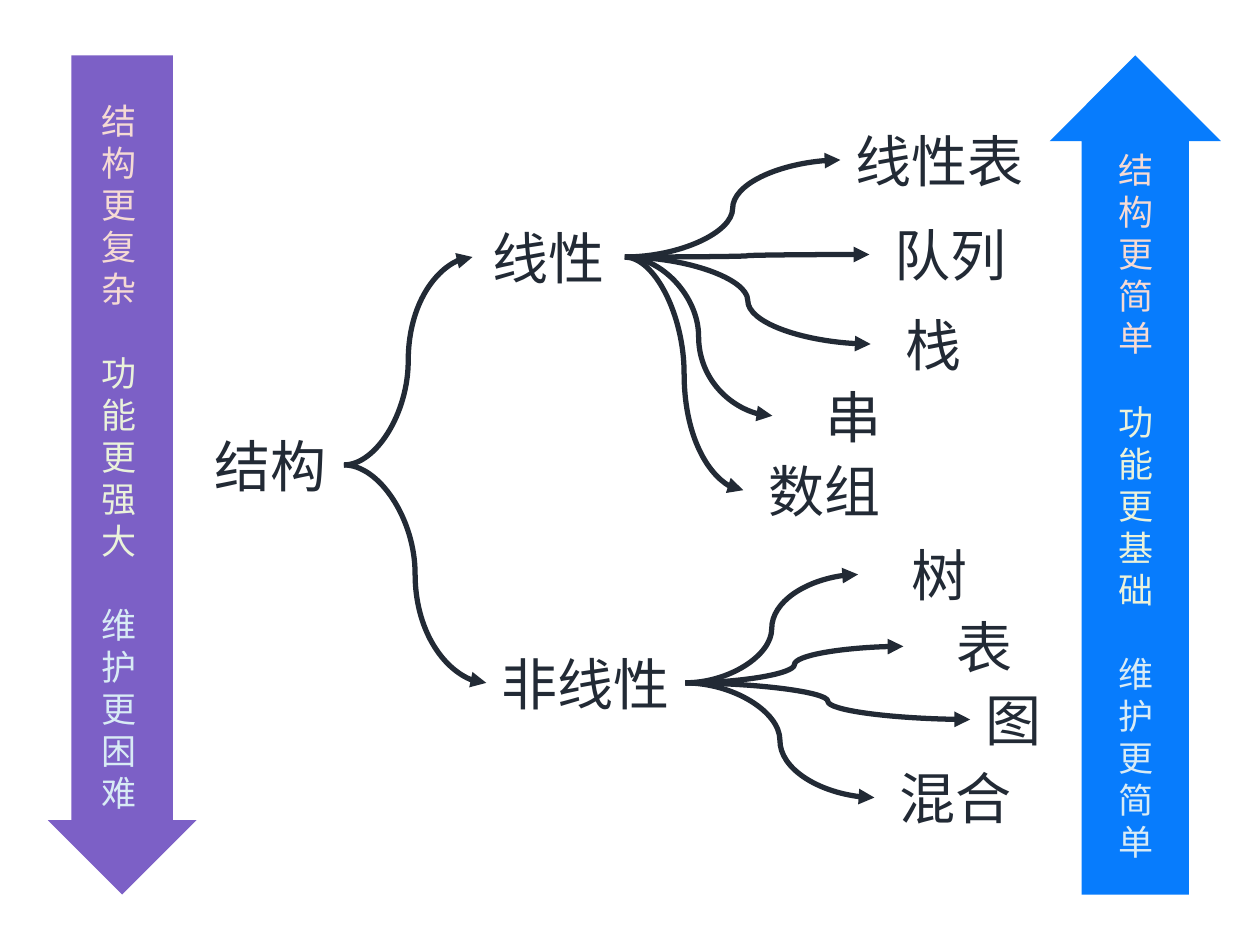
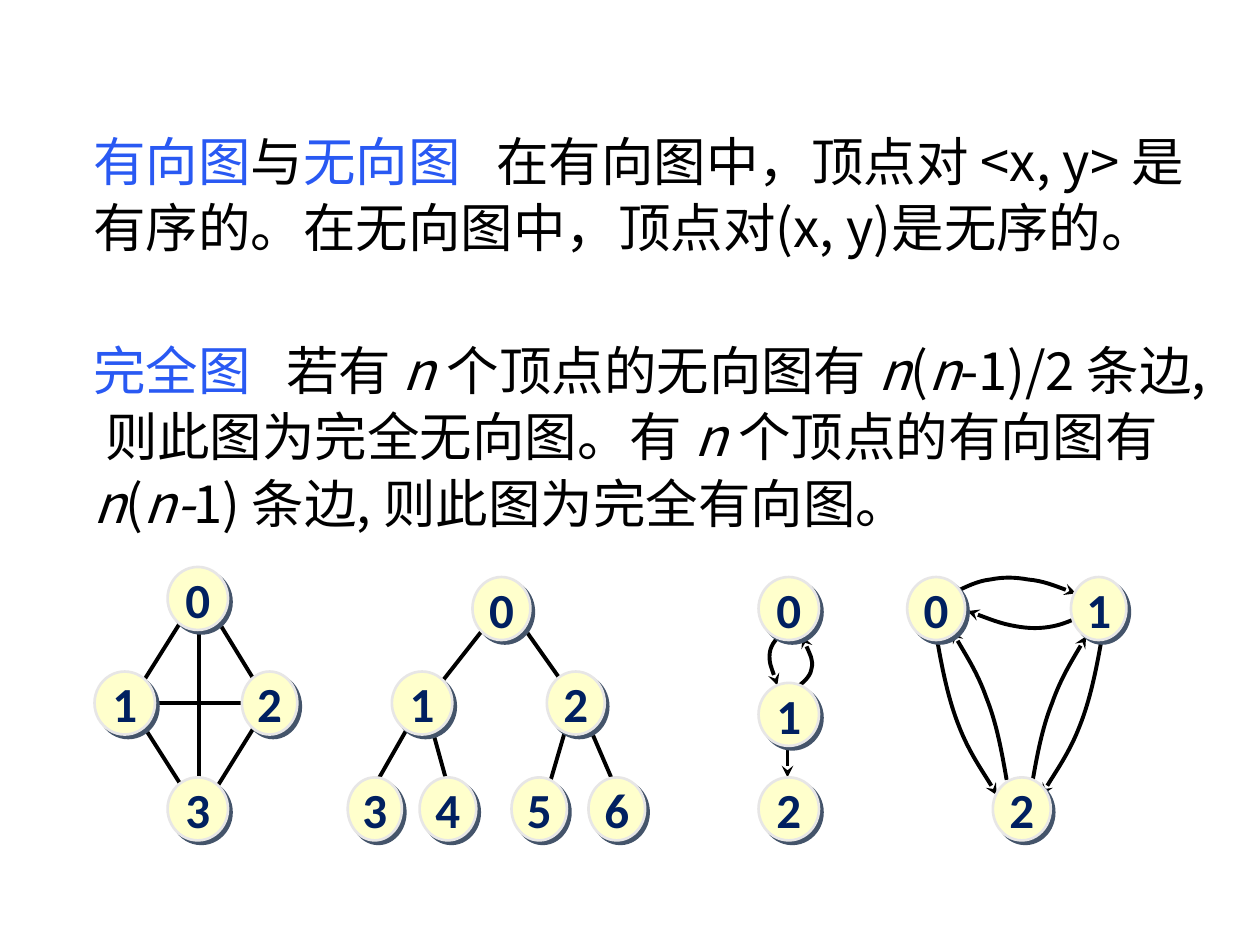
from dataclasses import dataclass
from typing import NamedTuple

from lxml import etree
from pptx import Presentation
from pptx.dml.color import RGBColor
from pptx.enum.shapes import MSO_CONNECTOR, MSO_SHAPE
from pptx.enum.text import MSO_ANCHOR, PP_ALIGN
from pptx.oxml.ns import qn
from pptx.util import Emu, Inches, Pt

CURVE, STRAIGHT = MSO_CONNECTOR.CURVE, MSO_CONNECTOR.STRAIGHT
DOWN_ARROW, OVAL = MSO_SHAPE.DOWN_ARROW, MSO_SHAPE.OVAL
MIDDLE, CENTER = MSO_ANCHOR.MIDDLE, PP_ALIGN.CENTER
LEFT_SIDE, RIGHT_SIDE = 1, 3


@dataclass(frozen=True)
class Theme:
    cjk_font: str = "Noto Sans CJK JP"
    digit_font: str = "Calibri"
    ink: str = "222A35"
    black: str = "000000"
    term: str = "2959F3"
    harder: str = "7C60C6"
    simpler: str = "077CFD"
    arrow_texts: tuple[str, ...] = ("F5DAD4", "EAF2DB", "D8EBF5")
    node_fill: str = "FFFFCC"
    node_rim: str = "E7E6E6"
    node_shadow: str = "44546A"
    digit: str = "002060"
    topic_size: int = 32
    body_size: int = 30
    digit_size: int = 28
    arrow_size: int = 20
    line_pitch: float = 1.2
    body_pitch: float = 1.26
    branch_width: float = 3
    edge_width: float = 2.25
    rim_width: float = 1.5


THEME = Theme()


class Topic(NamedTuple):
    name: str
    left: float
    top: float
    width: float
    parent: str = ""


class TrendArrow(NamedTuple):
    left: float
    width: float
    color: str
    rotation: int
    shaft: float
    text_left: float
    text_top: float
    phrases: tuple[str, ...]


class Node(NamedTuple):
    digit: str
    left: float
    top: float
    width: float = 0.48


class Edge(NamedTuple):
    x1: float
    y1: float
    x2: float
    y2: float
    head: str = ""


class Span(NamedTuple):
    text: str
    color: str = THEME.black
    italic: bool = False


TOPIC_HEIGHT = 0.64
TOPICS = (
    Topic("结构", 1.56, 3.37, 1.17),
    Topic("线性", 3.75, 1.72, 1.21, "结构"),
    Topic("非线性", 3.86, 5.1, 1.58, "结构"),
    Topic("线性表", 6.67, 0.95, 1.57, "线性"),
    Topic("队列", 6.9, 1.7, 1.29, "线性"),
    Topic("栈", 6.91, 2.41, 1, "线性"),
    Topic("串", 6.13, 2.98, 1.29, "线性"),
    Topic("数组", 5.9, 3.57, 1.29, "线性"),
    Topic("树", 6.81, 4.24, 1.29, "非线性"),
    Topic("表", 7.17, 4.81, 1.29, "非线性"),
    Topic("图", 7.7, 5.39, 0.69, "非线性"),
    Topic("混合", 6.94, 6.01, 1.29, "非线性"),
)
TREND_ARROWS = (
    TrendArrow(0.38, 1.18, THEME.harder, 0, 0.683, 0.71, 0.71,
               ("结构更复杂", "功能更强大", "维护更困难")),
    TrendArrow(8.33, 1.36, THEME.simpler, 180, 0.626, 8.78, 1.1,
               ("结构更简单", "功能更基础", "维护更简单")),
)

# Each paragraph: where the explanation starts after its term, and its spans.
DEFINITIONS = (
    (3.2, (Span("有向图", THEME.term), Span("与"), Span("无向图", THEME.term),
           Span("\t在有向图中，顶点对 <x, y> 是有序的。在无向图中，顶点对(x, y)是无序的。"))),
    (1.53, (Span("完全图", THEME.term), Span("\t若有 "), Span("n ", italic=True),
            Span("个顶点的无向图有 "), Span("n", italic=True), Span("("),
            Span("n", italic=True), Span("-1)/2 条边, 则此图为完全无向图。有 "),
            Span("n ", italic=True), Span("个顶点的有向图有"),
            Span("n", italic=True), Span("("), Span("n-", italic=True),
            Span("1) 条边, 则此图为完全有向图。"))),
)
NODES = (
    # complete undirected graph
    Node("0", 1.33, 4.5), Node("1", 0.75, 5.33), Node("2", 1.92, 5.33, 0.44),
    Node("3", 1.33, 6.17),
    # binary tree
    Node("0", 3.75, 4.58, 0.46), Node("1", 3.11, 5.33), Node("2", 4.34, 5.33, 0.46),
    Node("3", 2.76, 6.17, 0.43), Node("4", 3.33, 6.17, 0.45),
    Node("5", 4.06, 6.17, 0.44), Node("6", 4.67, 6.17, 0.45),
    # directed chain
    Node("0", 6.02, 4.58), Node("1", 6.02, 5.42), Node("2", 6.02, 6.17),
    # complete directed graph
    Node("0", 7.2, 4.58, 0.46), Node("1", 8.5, 4.58, 0.44), Node("2", 7.88, 6.17, 0.46),
)
EDGES = (
    Edge(1.08, 5.67, 1.5, 6.33), Edge(1.67, 4.83, 2.08, 5.5),
    Edge(2.08, 5.67, 1.67, 6.33), Edge(1.5, 4.83, 1.08, 5.5),
    Edge(1.17, 5.58, 2.08, 5.58), Edge(1.58, 4.92, 1.58, 6.42),
    Edge(4.17, 5, 4.58, 5.58), Edge(4.5, 5.75, 4.33, 6.33),
    Edge(4.67, 5.75, 4.92, 6.33), Edge(3.83, 5, 3.5, 5.42),
    Edge(3.42, 5.75, 3.58, 6.33), Edge(3.25, 5.75, 2.92, 6.33),
    Edge(6.25, 5.92, 6.25, 6.17, "stealth"),
)
# Each arc: a start point, then three points for every Bezier segment.
ARCS = (
    ((6.23, 5.01), (6.17, 5.06), (6.12, 5.11), (6.11, 5.18),
     (6.1, 5.26), (6.16, 5.4), (6.17, 5.44)),
    ((6.29, 5.48), (6.36, 5.43), (6.43, 5.38), (6.44, 5.31),
     (6.46, 5.24), (6.38, 5.09), (6.37, 5.05)),
    ((8.66, 4.85), (8.56, 4.9), (8.46, 4.95), (8.36, 4.97), (8.26, 4.99),
     (8.17, 4.99), (8.06, 4.97), (7.94, 4.95), (7.74, 4.87), (7.68, 4.85)),
    ((7.56, 4.71), (7.66, 4.66), (7.76, 4.61), (7.86, 4.6), (7.96, 4.58),
     (8.05, 4.58), (8.16, 4.6), (8.28, 4.61), (8.48, 4.69), (8.54, 4.71)),
    ((8.74, 5.09), (8.7, 5.32), (8.65, 5.56), (8.57, 5.76),
     (8.49, 5.97), (8.32, 6.21), (8.27, 6.31)),
    ((8.19, 6.23), (8.23, 6), (8.27, 5.78), (8.35, 5.58),
     (8.42, 5.38), (8.57, 5.14), (8.62, 5.05)),
    ((7.44, 5.09), (7.48, 5.32), (7.53, 5.56), (7.61, 5.76),
     (7.69, 5.97), (7.86, 6.21), (7.91, 6.31)),
    ((7.99, 6.19), (7.95, 5.96), (7.91, 5.74), (7.83, 5.54),
     (7.76, 5.34), (7.61, 5.11), (7.56, 5.01)),
)


def rgb(color: str) -> RGBColor:
    return RGBColor.from_string(color)


def inches(*lengths: float) -> list[Emu]:
    return [Inches(length) for length in lengths]


def add_run(paragraph, text: str, size: int, color: str,
            font_name: str = THEME.cjk_font, bold: bool = False, italic: bool = False) -> None:
    run = paragraph.add_run()
    run.text = text
    font = run.font
    font.size, font.bold, font.italic = Pt(size), bold, italic
    font.color.rgb = rgb(color)
    font.name = font_name
    etree.SubElement(font._element, qn("a:ea"), typeface=font_name)


def style_line(line_shape, color: str, width: float, head: str = "") -> None:
    """Colour the line, drop its shadow and give its end an arrowhead."""
    line_shape.line.color.rgb = rgb(color)
    line_shape.line.width = Pt(width)
    properties = line_shape._element.spPr
    if head:
        etree.SubElement(properties.find(qn("a:ln")), qn("a:tailEnd"), type=head)
    if properties.find(qn("a:effectLst")) is None:
        etree.SubElement(properties, qn("a:effectLst"))


def add_topic(slide, topic: Topic):
    box = slide.shapes.add_textbox(*inches(topic.left, topic.top, topic.width, TOPIC_HEIGHT))
    frame = box.text_frame
    frame.word_wrap = True
    frame.vertical_anchor = MIDDLE
    frame.margin_top = frame.margin_bottom = 0
    frame.paragraphs[0].alignment = CENTER
    add_run(frame.paragraphs[0], topic.name, THEME.topic_size, THEME.ink)
    return box


def add_branch(slide, parent, child) -> None:
    branch = slide.shapes.add_connector(CURVE, 0, 0, 0, 0)
    branch.begin_connect(parent, RIGHT_SIDE)
    branch.end_connect(child, LEFT_SIDE)
    style_line(branch, THEME.ink, THEME.branch_width, "triangle")


def add_trend_arrow(slide, trend: TrendArrow) -> None:
    arrow = slide.shapes.add_shape(DOWN_ARROW, *inches(trend.left, 0.44, trend.width, 6.66))
    arrow.adjustments[0], arrow.adjustments[1] = trend.shaft, 0.5
    arrow.rotation = trend.rotation
    arrow.shadow.inherit = False
    arrow.fill.solid()
    arrow.fill.fore_color.rgb = rgb(trend.color)
    arrow.line.fill.background()

    column = slide.shapes.add_textbox(*inches(trend.text_left, trend.text_top, 0.52, 5.82))
    frame = column.text_frame
    frame.word_wrap = True
    frame.margin_top = Inches(0.08)
    pitch = Pt(THEME.arrow_size * THEME.line_pitch)
    for index, (phrase, color) in enumerate(zip(trend.phrases, THEME.arrow_texts)):
        paragraph = frame.add_paragraph() if index else frame.paragraphs[0]
        paragraph.line_spacing = pitch
        if index:
            paragraph.space_before = pitch
        add_run(paragraph, phrase, THEME.arrow_size, color)


def add_definitions(slide) -> None:
    frame = slide.shapes.add_textbox(*inches(0.39, 0.9, 9.21, 3.84)).text_frame
    frame.word_wrap = True
    frame.margin_left, frame.margin_top = inches(0.35, 0.1)
    for index, (explanation_start, spans) in enumerate(DEFINITIONS):
        paragraph = frame.add_paragraph() if index else frame.paragraphs[0]
        paragraph.line_spacing = Pt(THEME.body_size * THEME.body_pitch)
        if index:
            paragraph.space_before = Pt(44)
        tabs = etree.SubElement(paragraph._p.get_or_add_pPr(), qn("a:tabLst"))
        etree.SubElement(tabs, qn("a:tab"), pos=str(Inches(explanation_start)), algn="l")
        for span in spans:
            add_run(paragraph, span.text, THEME.body_size, span.color, italic=span.italic)


def add_arc(slide, points: tuple[tuple[float, float], ...]) -> None:
    """Draw an arrow along Bezier segments, three points to a segment."""
    start, *rest = [tuple(inches(*point)) for point in points]
    builder = slide.shapes.build_freeform(*start)
    builder.add_line_segments(rest, close=False)
    arc = builder.convert_to_shape()
    outline = arc._element.spPr.find(".//" + qn("a:path"))
    steps = outline.findall(qn("a:lnTo"))
    for first in range(0, len(steps), 3):
        bezier = etree.SubElement(outline, qn("a:cubicBezTo"))
        for step in steps[first:first + 3]:
            bezier.append(step[0])
            outline.remove(step)
    arc.fill.background()
    style_line(arc, THEME.black, THEME.edge_width, "stealth")


def add_edge(slide, edge: Edge) -> None:
    line = slide.shapes.add_connector(STRAIGHT, *inches(edge.x1, edge.y1, edge.x2, edge.y2))
    style_line(line, THEME.black, THEME.edge_width, edge.head)


def add_node(slide, node: Node) -> None:
    disc = slide.shapes.add_shape(OVAL, *inches(node.left, node.top, node.width, 0.5))
    disc.fill.solid()
    disc.fill.fore_color.rgb = rgb(THEME.node_fill)
    style_line(disc, THEME.node_rim, THEME.rim_width)
    effects = disc._element.spPr.find(qn("a:effectLst"))
    shadow = etree.SubElement(effects, qn("a:outerShdw"), dist=str(Pt(2.8)),
                              dir="2700000", algn="ctr", rotWithShape="0")
    etree.SubElement(shadow, qn("a:srgbClr"), val=THEME.node_shadow)

    label_left = node.left + node.width / 2 - 0.2
    label = slide.shapes.add_textbox(*inches(label_left, node.top - 0.03, 0.4, 0.57))
    label.text_frame.word_wrap = False
    paragraph = label.text_frame.paragraphs[0]
    paragraph.alignment = CENTER
    add_run(paragraph, node.digit, THEME.digit_size, THEME.digit, THEME.digit_font, bold=True)


def build_structure_slide(slide) -> None:
    boxes = {topic.name: add_topic(slide, topic) for topic in TOPICS}
    for topic in TOPICS:
        if topic.parent:
            add_branch(slide, boxes[topic.parent], boxes[topic.name])
    for trend in TREND_ARROWS:
        add_trend_arrow(slide, trend)


def build_graph_slide(slide) -> None:
    add_definitions(slide)
    for points in ARCS:
        add_arc(slide, points)
    for edge in EDGES:
        add_edge(slide, edge)
    for node in NODES:
        add_node(slide, node)


def main() -> None:
    deck = Presentation()
    deck.slide_width, deck.slide_height = inches(10, 7.5)
    blank = deck.slide_layouts[6]
    for build in (build_structure_slide, build_graph_slide):
        build(deck.slides.add_slide(blank))
    deck.save("out.pptx")


if __name__ == "__main__":
    main()
